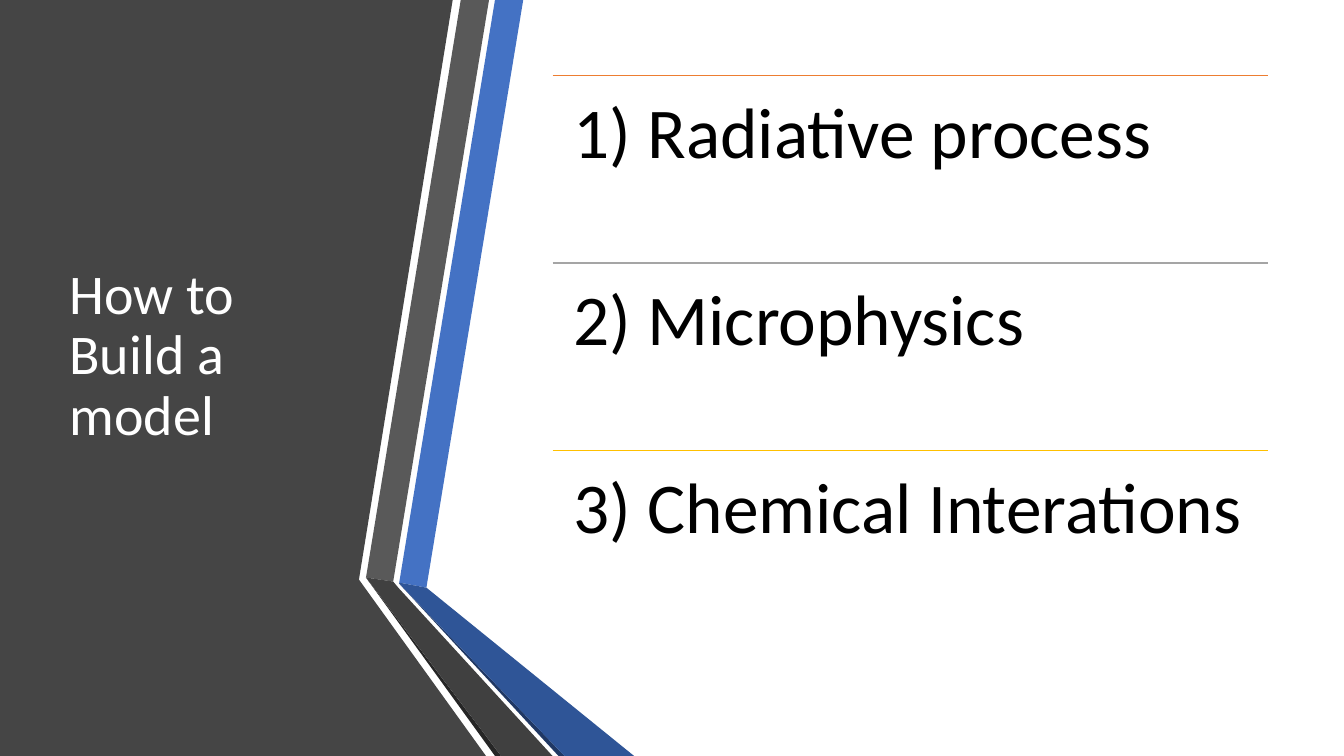
from pptx import Presentation
from pptx.dml.color import RGBColor
from pptx.enum.shapes import MSO_CONNECTOR
from pptx.enum.text import MSO_ANCHOR, MSO_AUTO_SIZE, PP_ALIGN
from pptx.oxml.ns import qn
from pptx.util import Inches, Pt

FONT = "Calibri"
TITLE_ONLY_LAYOUT = 5

# Fill colour and corner points in inches, from back to front
PANEL_SHAPES = [
    ("454545", [(0, 0), (4.49, 0), (3.56, 5.75), (4.82, 7.5), (0, 7.5)]),
    ("4472C4", [(3.96, 5.78), (4.23, 5.83), (5.19, 0), (4.91, 0)]),
    ("595959", [(4.85, 0), (4.57, 0), (3.63, 5.73), (3.9, 5.77)]),
    ("262626", [(3.63, 5.73), (4.91, 7.5), (4.97, 7.5)]),
    ("203864", [(3.96, 5.79), (5.54, 7.5), (5.6, 7.5)]),
    ("2F5597", [(3.96, 5.79), (5.6, 7.5), (6.29, 7.5), (4.23, 5.83), (3.96, 5.78)]),
    ("404040", [(5.48, 7.5), (3.95, 5.83), (3.9, 5.77), (3.63, 5.73), (4.97, 7.5)]),
]

# Step text and the colour of the rule above it
STEPS = [
    ("1) Radiative process", "ED7D31"),
    ("2) Microphysics", "A5A5A5"),
    ("3) Chemical Interations", "FFC000"),
]
STEP_LEFT, STEP_TOP, STEP_WIDTH, STEP_HEIGHT = 5.48, 0.75, 7.1, 1.86
STEP_INSET = Inches(0.21)


def color(hex_string):
    return RGBColor.from_string(hex_string)


def set_text(text_frame, text, size, hex_string):
    text_frame.text = text
    text_frame.word_wrap = True
    text_frame.auto_size = MSO_AUTO_SIZE.NONE
    paragraph = text_frame.paragraphs[0]
    paragraph.alignment = PP_ALIGN.LEFT
    paragraph.line_spacing = 0.9
    font = paragraph.runs[0].font
    font.name = FONT
    font.size = Pt(size)
    font.color.rgb = color(hex_string)


def add_polygon(slide, hex_string, points):
    corners = [(Inches(x), Inches(y)) for x, y in points]
    builder = slide.shapes.build_freeform(*corners[0], scale=1.0)
    builder.add_line_segments(corners[1:], close=True)
    shape = builder.convert_to_shape()
    shape.shadow.inherit = False
    shape.fill.solid()
    shape.fill.fore_color.rgb = color(hex_string)
    shape.line.fill.background()


def add_rule(slide, left, top, width, hex_string):
    connector = slide.shapes.add_connector(
        MSO_CONNECTOR.STRAIGHT, Inches(left), Inches(top), Inches(left + width), Inches(top)
    )
    connector.line.color.rgb = color(hex_string)
    connector.line.width = Pt(1)
    properties = connector.element.spPr
    properties.append(properties.makeelement(qn("a:effectLst"), {}))


def add_step(slide, top, text, rule_color):
    add_rule(slide, STEP_LEFT, top, STEP_WIDTH, rule_color)
    box = slide.shapes.add_textbox(
        Inches(STEP_LEFT), Inches(top), Inches(STEP_WIDTH), Inches(STEP_HEIGHT)
    )
    frame = box.text_frame
    frame.margin_left = frame.margin_right = STEP_INSET
    frame.margin_top = frame.margin_bottom = STEP_INSET
    set_text(frame, text, 51, "000000")


def place_title(slide, text):
    title = slide.shapes.title
    title.left, title.top = Inches(0.59), Inches(0.75)
    title.width, title.height = Inches(3.04), Inches(5.58)
    title.text_frame.vertical_anchor = MSO_ANCHOR.MIDDLE
    set_text(title.text_frame, text, 40, "FFFFFF")
    # Bring the title in front of the dark panel
    title.element.getparent().append(title.element)


def main():
    presentation = Presentation()
    presentation.slide_width = Inches(13.33)
    presentation.slide_height = Inches(7.5)
    slide = presentation.slides.add_slide(presentation.slide_layouts[TITLE_ONLY_LAYOUT])

    # Dark panel with its folded bands
    for hex_string, points in PANEL_SHAPES:
        add_polygon(slide, hex_string, points)

    place_title(slide, "How to Build a model")

    # Numbered steps at equal heights
    for index, (text, rule_color) in enumerate(STEPS):
        add_step(slide, STEP_TOP + index * STEP_HEIGHT, text, rule_color)

    presentation.save("out.pptx")


if __name__ == "__main__":
    main()
